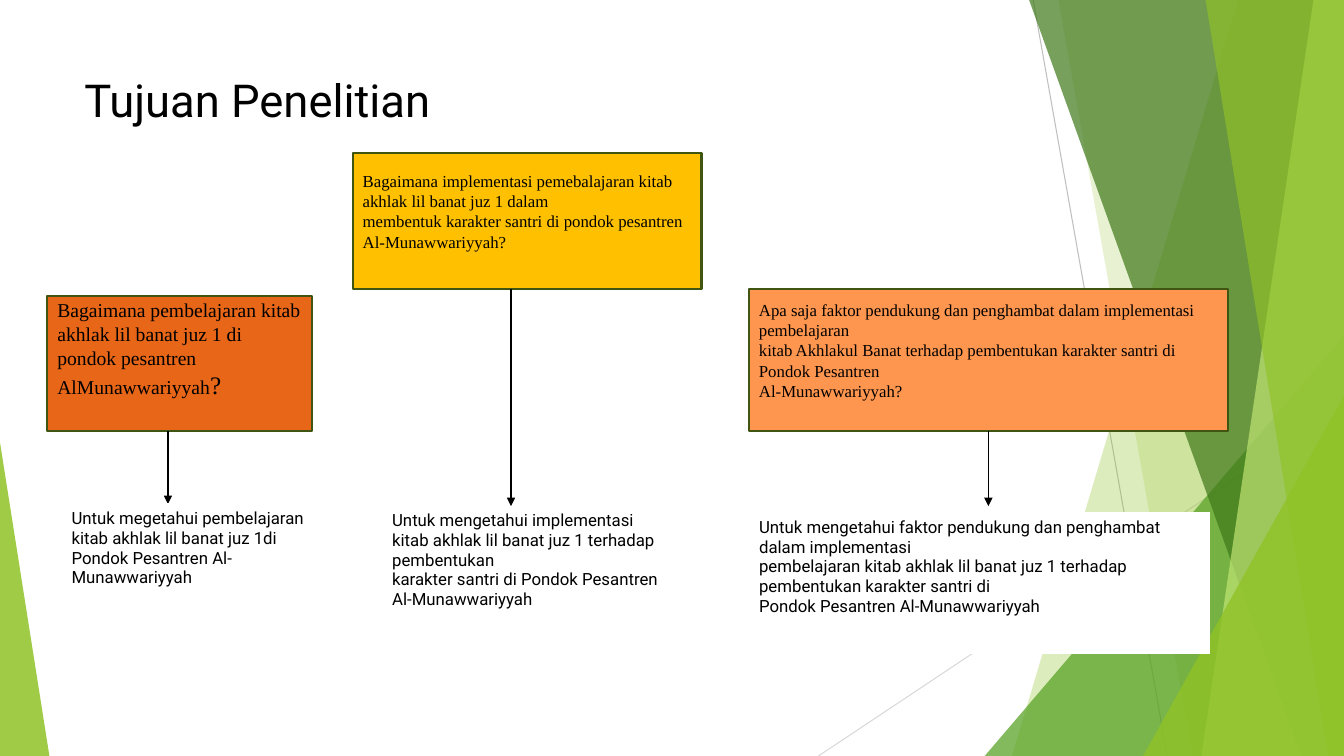
from copy import deepcopy

from lxml import etree
from pptx import Presentation
from pptx.dml.color import RGBColor
from pptx.enum.shapes import MSO_CONNECTOR, MSO_SHAPE
from pptx.enum.text import MSO_ANCHOR, PP_ALIGN
from pptx.oxml.ns import qn
from pptx.util import Pt

STRAIGHT = MSO_CONNECTOR.STRAIGHT
TRIANGLE = MSO_SHAPE.ISOSCELES_TRIANGLE
RECTANGLE = MSO_SHAPE.RECTANGLE
MIDDLE = MSO_ANCHOR.MIDDLE
LEFT = PP_ALIGN.LEFT

COLORS = {
    "black": "000000", "white": "FFFFFF", "border": "3F5511",
    "gray": "BFBFBF", "pale gray": "D9D9D9",
    "lime": "90C226", "green": "54A021", "forest": "3F7819", "light lime": "C0E474",
    "yellow": "FFC000", "orange": "E76618", "peach": "FF964F",
}
WIDTH, HEIGHT = 960, 540

prs = Presentation()
prs.slide_width, prs.slide_height = Pt(WIDTH), Pt(HEIGHT)
slide = prs.slides.add_slide(prs.slide_layouts[6])
shapes = slide.shapes


def add_line(x1, y1, x2, y2, color, weight):
    line = shapes.add_connector(STRAIGHT, Pt(x1), Pt(y1), Pt(x2), Pt(y2))
    line.line.color.rgb = RGBColor.from_string(COLORS[color])
    line.line.width = Pt(weight)
    etree.SubElement(line._element.spPr, qn("a:effectLst"))
    return line


def write(frame, runs, font):
    frame.word_wrap = True
    paragraph = frame.paragraphs[0]
    paragraph.alignment = LEFT
    for text, size in runs:
        for number, row in enumerate(text.split("\n")):
            if number:
                paragraph.add_line_break()
                paragraph._p[-1].append(deepcopy(run._r.rPr))
            run = paragraph.add_run()
            run.text = row
            run.font.name = font
            run.font.size = Pt(size)
            run.font.bold = False
            run.font.color.rgb = RGBColor.from_string(COLORS["black"])


add_line(738, 0, 833.8, HEIGHT, "gray", 0.75)
add_line(WIDTH, 290.2, 584.6, HEIGHT, "pale gray", 0.75)

band = "band"
corner = "corner"
facets = [
    (band, (884.2, 722.9), "lime", 30),
    (band, (756, 851.8), "lime", 20),
    (corner, (703.4, 239.8, 256.6, 1), "green", 72),
    (band, (735.1, 929.5), "forest", 70),
    (band, (938.2, 858.2), "light lime", 70),
    (band, (861.1, 949), "lime", 65),
    (corner, (816.5, 283, 143.5, 1), "lime", 80),
    (corner, (0, 316.1, 35.3, 0), "lime", 85),
]
for kind, geometry, color, opacity in facets:
    if kind == band:
        top_x, bottom_x = geometry
        outline = shapes.build_freeform(Pt(top_x), Pt(0))
        outline.add_line_segments(
            [(Pt(WIDTH), Pt(0)), (Pt(WIDTH), Pt(HEIGHT)), (Pt(bottom_x), Pt(HEIGHT))]
        )
        facet = outline.convert_to_shape()
    else:
        left, top, width, apex = geometry
        facet = shapes.add_shape(TRIANGLE, Pt(left), Pt(top), Pt(width), Pt(HEIGHT - top))
        facet.adjustments[0] = apex
    facet.shadow.inherit = False
    facet.line.fill.background()
    facet.fill.solid()
    facet.fill.fore_color.rgb = RGBColor.from_string(COLORS[color])
    tint = facet._element.spPr.find(qn("a:solidFill"))[0]
    etree.SubElement(tint, qn("a:alpha"), val=str(opacity * 1000))

title = shapes.add_textbox(Pt(53.3), Pt(48.2), Pt(676.8), Pt(56.2))
write(title.text_frame, [("Tujuan Penelitian", 32.4)], "Roboto")

columns = [
    {
        "question": [
            ("Bagaimana implementasi pemebalajaran kitab akhlak lil banat juz 1 dalam\n"
             "membentuk karakter santri di pondok pesantren Al-Munawwariyyah?", 12),
        ],
        "box": (252, 109.4, 249.1, 97.2), "fill": "yellow", "bottom margin": 18,
        "arrow": (365, 361.5),
        "goal": "Untuk mengetahui implementasi kitab akhlak lil banat juz 1 terhadap pembentukan\n"
                "karakter santri di Pondok Pesantren Al-Munawwariyyah",
        "cell": (272.9, 361.5, 207.4, 100.8),
    },
    {
        "question": [
            ("Bagaimana pembelajaran kitab akhlak lil banat juz 1 di pondok pesantren "
             "AlMunawwariyyah", 14),
            ("?", 18),
        ],
        "box": (33.9, 211.5, 188.9, 96.7), "fill": "orange", "bottom margin": 25,
        "arrow": (120, 360),
        "goal": "Untuk megetahui pembelajaran kitab akhlak lil banat juz 1di "
                "Pondok Pesantren Al-Munawwariyyah",
        "cell": (43.9, 360, 188.6, 93.6),
    },
    {
        "question": [
            ("Apa saja faktor pendukung dan penghambat dalam implementasi pembelajaran\n"
             "kitab Akhlakul Banat terhadap pembentukan karakter santri di Pondok Pesantren\n"
             "Al-Munawwariyyah?", 12),
        ],
        "box": (535, 206.6, 342, 101.6), "fill": "peach", "bottom margin": 18,
        "arrow": (706, 361.5),
        "goal": "Untuk mengetahui faktor pendukung dan penghambat dalam implementasi\n"
                "pembelajaran kitab akhlak lil banat juz 1 terhadap pembentukan karakter santri di\n"
                "Pondok Pesantren Al-Munawwariyyah",
        "cell": (535, 366.2, 329.2, 100.8),
    },
]
for column in columns:
    left, top, width, height = column["box"]
    question = shapes.add_shape(RECTANGLE, Pt(left), Pt(top), Pt(width), Pt(height))
    question.shadow.inherit = False
    question.fill.solid()
    question.fill.fore_color.rgb = RGBColor.from_string(COLORS[column["fill"]])
    question.line.color.rgb = RGBColor.from_string(COLORS["border"])
    question.line.width = Pt(1.5)
    question.text_frame.vertical_anchor = MIDDLE
    question.text_frame.margin_bottom = Pt(column["bottom margin"])
    write(question.text_frame, column["question"], "Times New Roman")

    arrow_x, arrow_end = column["arrow"]
    arrow = add_line(arrow_x, top + height, arrow_x, arrow_end, "black", 1)
    etree.SubElement(arrow.line._get_or_add_ln(), qn("a:tailEnd"), type="triangle")

    goal = shapes.add_table(1, 1, *map(Pt, column["cell"])).table.cell(0, 0)
    goal.fill.solid()
    goal.fill.fore_color.rgb = RGBColor.from_string(COLORS["white"])
    write(goal.text_frame, [(column["goal"], 12)], "Roboto")

prs.save("out.pptx")
